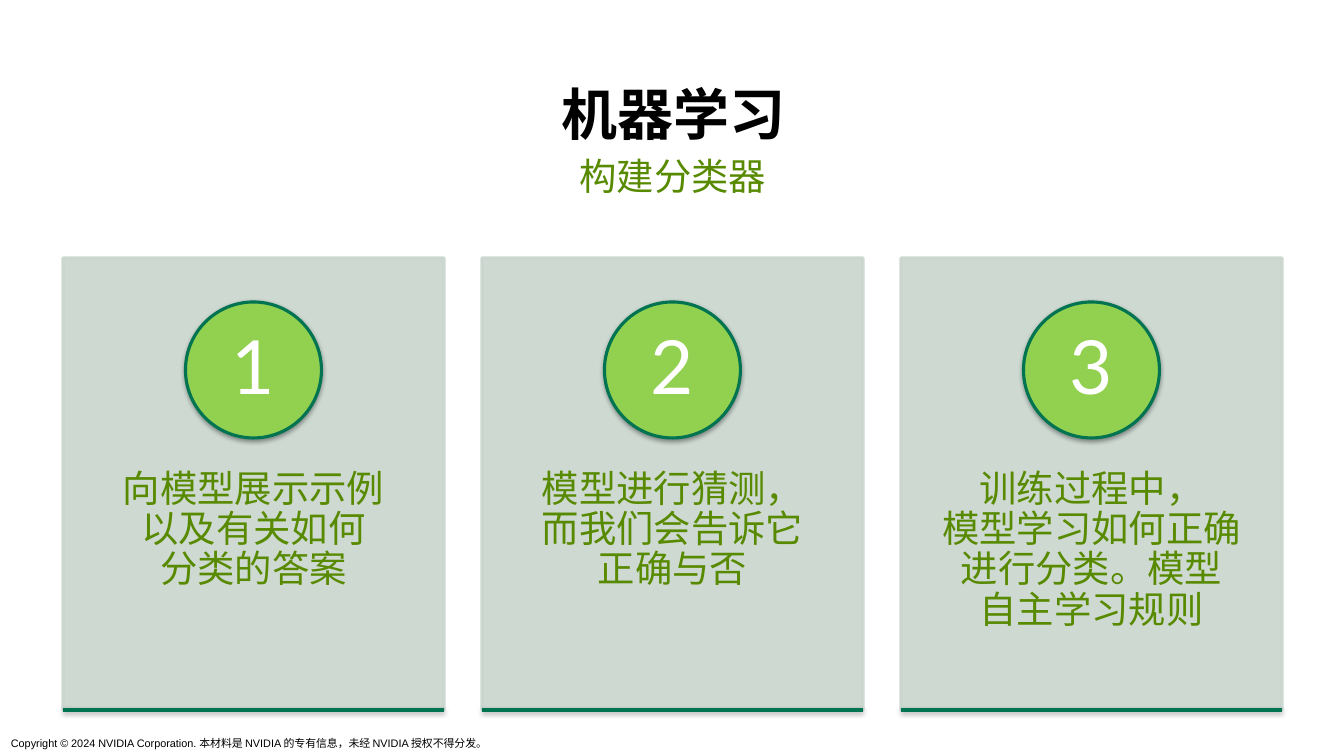
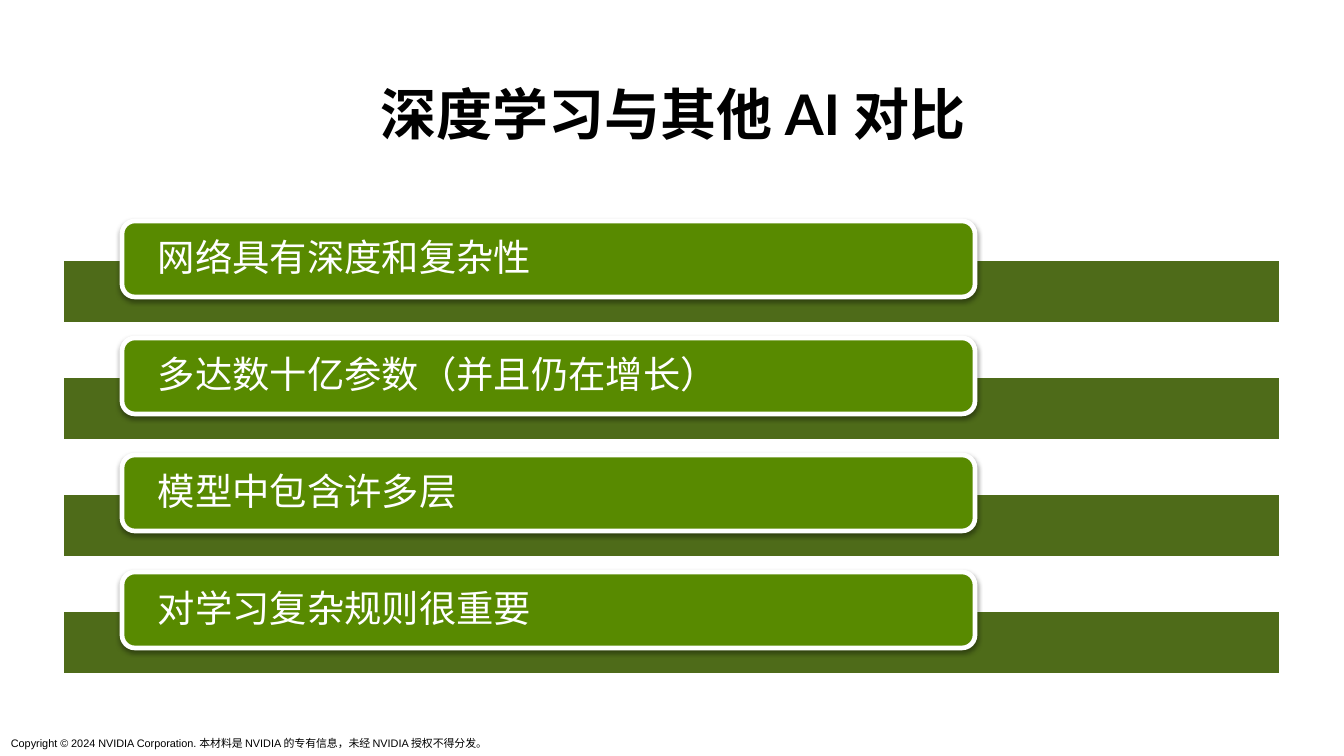
import lxml.etree
import pptx
import pptx.dml.color
import pptx.enum.shapes
import pptx.enum.text
import pptx.oxml.ns
import pptx.util

RGBColor = pptx.dml.color.RGBColor
SHAPE = pptx.enum.shapes.MSO_SHAPE
ALIGN = pptx.enum.text.PP_ALIGN
ANCHOR = pptx.enum.text.MSO_ANCHOR
qn = pptx.oxml.ns.qn

# Shared colours
BLACK = RGBColor(0x00, 0x00, 0x00)
WHITE = RGBColor(0xFF, 0xFF, 0xFF)
GREEN = RGBColor(0x58, 0x8A, 0x00)
DARK_GREEN = RGBColor(0x3B, 0x5C, 0x00)
LIME = RGBColor(0x92, 0xD0, 0x50)
TEAL = RGBColor(0x00, 0x74, 0x50)
CARD_GREY = RGBColor(0xC9, 0xD5, 0xCE)

# Shared measures
PX_PER_INCH = 112
SLIDE_W, SLIDE_H = 1344, 756
TITLE_X, TITLE_W = 62, 1222
TITLE_INSETS = (11, 6, 11, 6)

# Shared text styles: font, paragraph and frame values
TITLE = {
    "font": {"name": "Lato", "size": pptx.util.Pt(36), "bold": True},
    "color": BLACK,
    "paragraph": {"alignment": ALIGN.CENTER, "line_spacing": 0.9},
    "frame": {"vertical_anchor": ANCHOR.BOTTOM},
}
SUBTITLE = {
    "font": {"name": "Lato", "size": pptx.util.Pt(24)},
    "color": GREEN,
    "paragraph": {"alignment": ALIGN.CENTER, "line_spacing": 0.9},
    "frame": {"vertical_anchor": ANCHOR.TOP},
}
NUMBER = {
    "font": {"name": "Lato", "size": pptx.util.Pt(48)},
    "color": WHITE,
    "paragraph": {"alignment": ALIGN.CENTER, "line_spacing": 0.9},
    "frame": {"vertical_anchor": ANCHOR.MIDDLE},
}
POINT = {
    "font": {"name": "Lato", "size": pptx.util.Pt(24)},
    "color": WHITE,
    "paragraph": {"alignment": ALIGN.LEFT, "line_spacing": 0.9},
    "frame": {"vertical_anchor": ANCHOR.MIDDLE},
}
FOOTER = {
    "font": {"name": "Arial", "size": pptx.util.Pt(7)},
    "color": BLACK,
    "paragraph": {"alignment": ALIGN.LEFT},
    "frame": {"vertical_anchor": ANCHOR.TOP},
}

COPYRIGHT = ("Copyright © 2024 NVIDIA Corporation. 本材料是 NVIDIA 的专有信息，"
             "未经 NVIDIA 授权不得分发。")
STEPS = [
    "向模型展示示例\v以及有关如何\v分类的答案",
    "模型进行猜测，\v而我们会告诉它\v正确与否",
    "训练过程中，\v模型学习如何正确进行分类。模型\v自主学习规则",
]
POINTS = [
    "网络具有深度和复杂性",
    "多达数十亿参数（并且仍在增长）",
    "模型中包含许多层",
    "对学习复杂规则很重要",
]


def px(length):
    return pptx.util.Emu(round(length * 914400 / PX_PER_INCH))


def set_attributes(target, values):
    for name, value in values.items():
        setattr(target, name, value)


def write(frame, text, style, insets):
    sides = ("margin_left", "margin_top", "margin_right", "margin_bottom")
    set_attributes(frame, dict(zip(sides, map(px, insets))))
    set_attributes(frame, {"word_wrap": True, **style["frame"]})
    paragraph = frame.paragraphs[0]
    paragraph.text = text
    set_attributes(paragraph, style["paragraph"])
    for run in paragraph.runs:
        set_attributes(run.font, style["font"])
        run.font.color.rgb = style["color"]


def add_text(slide, box, text, style, insets):
    label = slide.shapes.add_textbox(*map(px, box))
    write(label.text_frame, text, style, insets)


def add_block(slide, kind, box, fill, line, line_pt):
    block = slide.shapes.add_shape(kind, *map(px, box))
    block.shadow.inherit = False
    block.fill.solid()
    block.fill.fore_color.rgb = fill
    block.line.color.rgb = line
    block.line.width = pptx.util.Pt(line_pt)
    return block


def set_opacity(holder, percent):
    color = holder.find(qn("a:solidFill"))[0]
    lxml.etree.SubElement(color, qn("a:alpha"), val=str(percent * 1000))


def add_shadow(part):
    properties = part.element.spPr
    effects = properties.find(qn("a:effectLst"))
    if effects is None:
        effects = lxml.etree.SubElement(properties, qn("a:effectLst"))
    shadow = lxml.etree.SubElement(
        effects, qn("a:outerShdw"), blurRad="40000", dist="20000",
        dir="5400000", rotWithShape="0")
    color = lxml.etree.SubElement(shadow, qn("a:srgbClr"), val=str(BLACK))
    lxml.etree.SubElement(color, qn("a:alpha"), val="38000")


def add_titled_slide(deck, title):
    slide = deck.slides.add_slide(deck.slide_layouts[6])
    add_text(slide, (TITLE_X, 81, TITLE_W, 73), title, TITLE, TITLE_INSETS)
    return slide


def add_footer(slide):
    add_text(slide, (0, 731, 507, 25), COPYRIGHT, FOOTER, TITLE_INSETS)


def add_step_card(slide, left, number, text):
    top, width, height, circle = 258, 381, 452, 136

    # Card with its explanation below the number
    card = add_block(slide, SHAPE.RECTANGLE, (left, top, width, height),
                     CARD_GREY, CARD_GREY, 2)
    set_opacity(card.element.spPr, 90)
    set_opacity(card.line._get_or_add_ln(), 90)
    write(card.text_frame, text, SUBTITLE, (30, 212, 30, 40))

    # Number circle
    badge = add_block(slide, SHAPE.OVAL,
                      (left + (width - circle) / 2, top + 44, circle, circle),
                      LIME, TEAL, 2)
    add_shadow(badge)
    write(badge.text_frame, str(number), NUMBER, (10, 1, 10, 1))

    # Base line
    bottom = top + height
    base = slide.shapes.add_connector(
        pptx.enum.shapes.MSO_CONNECTOR.STRAIGHT,
        *map(px, (left, bottom, left + width, bottom)))
    base.line.color.rgb = TEAL
    base.line.width = pptx.util.Pt(2)
    add_shadow(base)


def add_point(slide, top, text):
    band = add_block(slide, SHAPE.RECTANGLE, (62, top + 38, 1219, 65),
                     DARK_GREEN, WHITE, 2)
    set_opacity(band.element.spPr, 90)
    pill = add_block(slide, SHAPE.ROUNDED_RECTANGLE, (122, top, 853, 76),
                     GREEN, WHITE, 3)
    pill.adjustments[0] = 0.17
    add_shadow(pill)
    write(pill.text_frame, text, POINT, (32, 0, 32, 0))


def build_machine_learning(deck):
    slide = add_titled_slide(deck, "机器学习")
    add_text(slide, (TITLE_X, 152, TITLE_W, 64), "构建分类器", SUBTITLE,
             TITLE_INSETS)
    for index, text in enumerate(STEPS):
        add_step_card(slide, 63 + 419 * index, index + 1, text)
    add_footer(slide)


def build_deep_learning(deck):
    slide = add_titled_slide(deck, "深度学习与其他 AI 对比")
    for index, text in enumerate(POINTS):
        add_point(slide, 221 + 117 * index, text)
    add_footer(slide)


def main():
    deck = pptx.Presentation()
    deck.slide_width, deck.slide_height = px(SLIDE_W), px(SLIDE_H)
    build_machine_learning(deck)
    build_deep_learning(deck)
    deck.save("out.pptx")


if __name__ == "__main__":
    main()
